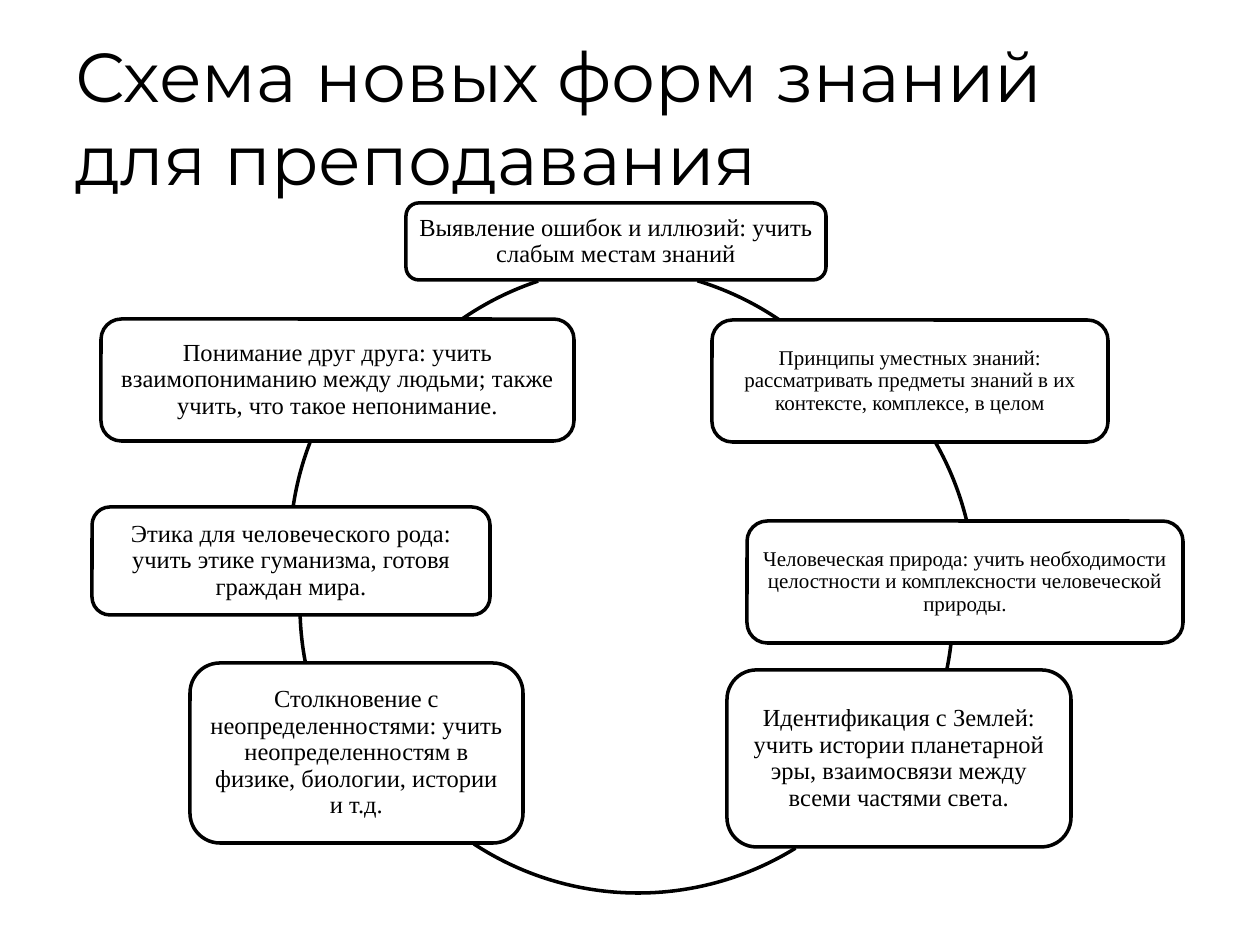
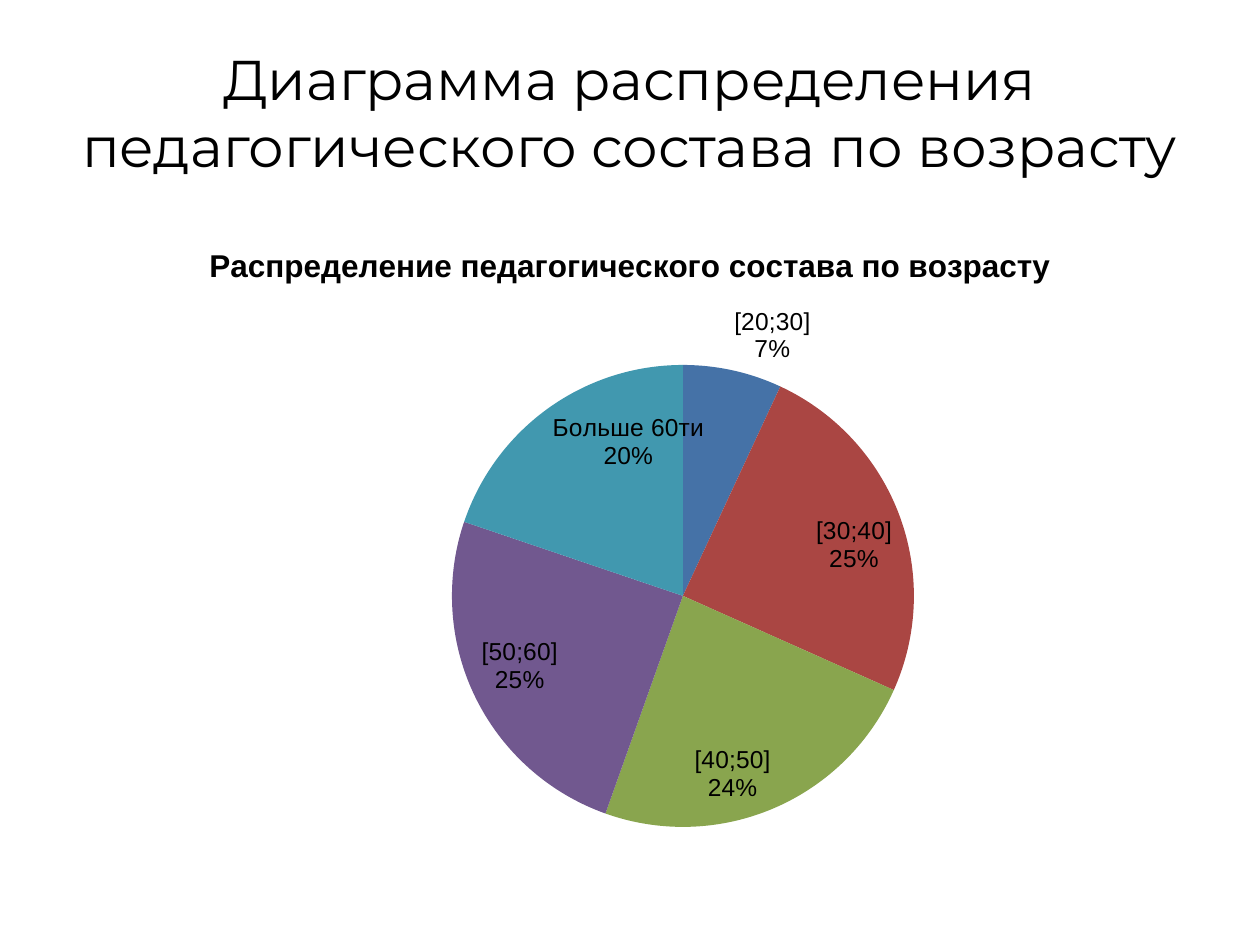
import pptx
import pptx.chart.data
import pptx.dml.color
import pptx.enum.chart
import pptx.enum.shapes
import pptx.enum.text
import pptx.oxml
import pptx.oxml.ns
import pptx.util

PX = 914400 / 126
BLACK = pptx.dml.color.RGBColor(0x00, 0x00, 0x00)
WHITE = pptx.dml.color.RGBColor(0xFF, 0xFF, 0xFF)
AGE_COLOURS = [
    pptx.dml.color.RGBColor(0x45, 0x72, 0xA7),
    pptx.dml.color.RGBColor(0xAA, 0x46, 0x43),
    pptx.dml.color.RGBColor(0x89, 0xA5, 0x4E),
    pptx.dml.color.RGBColor(0x71, 0x58, 0x8F),
    pptx.dml.color.RGBColor(0x41, 0x98, 0xAF),
]
LEFT = pptx.enum.text.PP_ALIGN.LEFT
CENTER = pptx.enum.text.PP_ALIGN.CENTER
MIDDLE = pptx.enum.text.MSO_ANCHOR.MIDDLE
SHAPES = pptx.enum.shapes.MSO_SHAPE
LABEL_POSITION = pptx.enum.chart.XL_LABEL_POSITION


def px(*lengths):
    return [pptx.util.Emu(round(length * PX)) for length in lengths]


def add_titled_slide(text, height, size, alignment):
    slide = deck.slides.add_slide(deck.slide_layouts[5])
    title = slide.shapes.title
    title.left, title.top, title.width, title.height = px(63, 38, 1134, height)
    frame = title.text_frame
    frame.text = text
    frame.word_wrap = True
    frame.auto_size = pptx.enum.text.MSO_AUTO_SIZE.NONE
    frame.vertical_anchor = MIDDLE
    frame.paragraphs[0].alignment = alignment
    font = frame.paragraphs[0].runs[0].font
    font.name = "Montserrat"
    font.size = pptx.util.Pt(size)
    font.color.rgb = BLACK
    return slide


deck = pptx.Presentation()
deck.slide_width, deck.slide_height = px(1260, 945)

scheme = add_titled_slide("Схема новых форм знаний для преподавания", 157, 39.6, LEFT)

RING_DIAMETER = 598
ring_arcs = [
    (312, 268, 286.8, 304.2),
    (377, 292, 330.4, 346.2),
    (355, 310, 6.6, 11.8),
    (339, 295, 58.2, 123.3),
    (300, 307, 169.2, 178.2),
    (290, 251, 188.3, 201.1),
    (333, 266, 235.3, 251.7),
]
for left, top, start, end in ring_arcs:
    arc = scheme.shapes.add_shape(SHAPES.ARC, *px(left, top, RING_DIAMETER, RING_DIAMETER))
    arc.shadow.inherit = False
    arc.fill.background()
    arc.line.color.rgb = BLACK
    arc.line.width = pptx.util.Pt(2)
    arc.adjustments[0] = start * 0.6
    arc.adjustments[1] = end * 0.6

knowledge_forms = [
    (406, 203, 420, 77, 14, "Выявление ошибок и иллюзий: учить слабым местам знаний"),
    (712, 320, 396, 122, 12,
     "Принципы уместных знаний: рассматривать предметы знаний в их контексте, комплексе, в целом"),
    (747, 521, 436, 122, 12,
     "Человеческая природа: учить необходимости целостности и комплексности человеческой природы."),
    (727, 670, 344, 177, 14,
     "Идентификация с Землей: учить истории планетарной эры, взаимосвязи между всеми частями света."),
    (190, 663, 333, 180, 14,
     "Столкновение с неопределенностями: учить неопределенностям в физике, биологии, истории и т.д."),
    (92, 507, 398, 108, 14,
     "Этика для человеческого рода: учить этике гуманизма, готовя граждан мира."),
    (101, 319, 473, 122, 14,
     "Понимание друг друга: учить взаимопониманию между людьми; также учить, что такое непонимание."),
]
for left, top, width, height, size, wording in knowledge_forms:
    form = scheme.shapes.add_shape(SHAPES.ROUNDED_RECTANGLE, *px(left, top, width, height))
    form.shadow.inherit = False
    form.fill.solid()
    form.fill.fore_color.rgb = WHITE
    form.line.color.rgb = BLACK
    form.line.width = pptx.util.Pt(2)
    frame = form.text_frame
    frame.text = wording
    frame.word_wrap = True
    frame.vertical_anchor = MIDDLE
    inset = px(size // 2)[0]
    frame.margin_left = frame.margin_right = frame.margin_top = frame.margin_bottom = inset
    paragraph = frame.paragraphs[0]
    paragraph.alignment = CENTER
    paragraph.line_spacing = 0.9
    font = paragraph.runs[0].font
    font.name = "Times New Roman"
    font.size = pptx.util.Pt(size)
    font.color.rgb = BLACK

ages = add_titled_slide(
    "Диаграмма распределения педагогического состава по возрасту", 147, 32, CENTER)

age_data = pptx.chart.data.CategoryChartData()
age_data.categories = ["[20;30]", "[30;40]", "[40;50]", "[50;60]", "Больше 60ти"]
age_data.add_series("Series 1", (7, 25, 24, 25, 20))
age_chart = ages.shapes.add_chart(
    pptx.enum.chart.XL_CHART_TYPE.PIE, *px(63, 220, 1134, 624), age_data).chart
age_chart.has_legend = False
age_chart.font.name = "Arial"
age_chart.font.size = pptx.util.Pt(10)
age_chart.font.color.rgb = BLACK
age_chart.has_title = True
heading = age_chart.chart_title.text_frame
heading.text = "Распределение педагогического состава по возрасту"
heading_font = heading.paragraphs[0].runs[0].font
heading_font.name = "Arial"
heading_font.size = pptx.util.Pt(18)
heading_font.bold = True
heading_font.color.rgb = BLACK

pie = age_chart.plots[0]
pie.vary_by_categories = True
age_series = pie.series[0]
for index, colour in enumerate(AGE_COLOURS):
    sector = age_series.points[index].format
    sector.fill.solid()
    sector.fill.fore_color.rgb = colour
    sector.line.fill.background()

labels = age_series.data_labels
labels.show_category_name = True
labels.show_percentage = True
labels.show_value = False
labels.number_format = "0%"
labels.number_format_is_linked = False
labels.position = LABEL_POSITION.INSIDE_END
youngest = age_series.points[0].data_label
youngest.position = LABEL_POSITION.OUTSIDE_END
for font in (labels.font, youngest.font):
    font.name = "Arial"
    font.size = pptx.util.Pt(14)
    font.color.rgb = BLACK

chart_space = age_chart.element if hasattr(age_chart, "element") else age_chart._chartSpace
for tag, shown in (("showVal", "0"), ("showCatName", "1"), ("showPercent", "1")):
    for flag in chart_space.xpath(f".//c:dLbl/c:{tag}"):
        flag.set("val", shown)
for group in chart_space.xpath(".//c:ser/c:dLbls | .//c:dLbl"):
    for separator in group.findall(pptx.oxml.ns.qn("c:separator")):
        group.remove(separator)
    separator = pptx.oxml.parse_xml(
        f'<c:separator {pptx.oxml.ns.nsdecls("c")}>\n</c:separator>')
    last_flag = group.find(pptx.oxml.ns.qn("c:showBubbleSize"))
    if last_flag is None:
        last_flag = group.find(pptx.oxml.ns.qn("c:showPercent"))
    last_flag.addnext(separator)

plot_area = chart_space.xpath(".//c:plotArea")[0]
for layout in plot_area.findall(pptx.oxml.ns.qn("c:layout")):
    plot_area.remove(layout)
place = "".join(f'<c:{tag} val="{value}"/>' for tag, value in (
    ("layoutTarget", "inner"), ("xMode", "edge"), ("yMode", "edge"),
    ("x", 389 / 1134), ("y", 145 / 624), ("w", 462 / 1134), ("h", 462 / 624)))
plot_area.insert(0, pptx.oxml.parse_xml(
    f'<c:layout {pptx.oxml.ns.nsdecls("c")}><c:manualLayout>{place}</c:manualLayout></c:layout>'))

deck.save("out.pptx")
